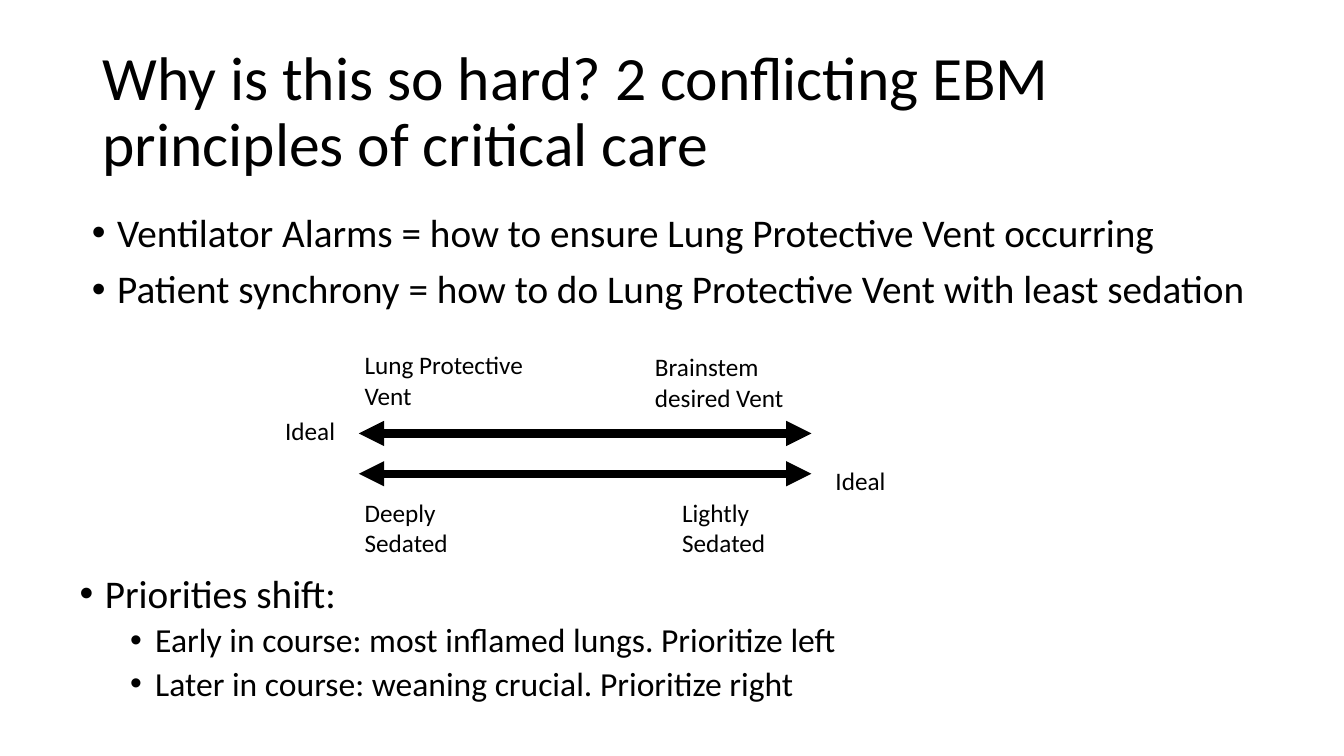
from dataclasses import dataclass
from lxml.etree import SubElement
from pptx import Presentation
from pptx.dml.color import RGBColor
from pptx.enum.shapes import MSO_CONNECTOR
from pptx.enum.text import MSO_ANCHOR, MSO_AUTO_SIZE, PP_ALIGN
from pptx.oxml.ns import qn
from pptx.util import Pt


@dataclass(frozen=True)
class Theme:
    face: str = "Calibri"
    ink: RGBColor = RGBColor(0, 0, 0)
    title: int = 44
    list: tuple = (28, 24)
    label: int = 18
    line: int = 6


class Page:
    def __init__(self, deck, theme):
        self.theme = theme
        self.slide = deck.slides.add_slide(deck.slide_layouts[3])

    def style(self, para, size):
        for run in para.runs:
            run.font.name = self.theme.face
            run.font.size = Pt(size)
            run.font.color.rgb = self.theme.ink

    def holder(self, index, box, anchor):
        shape = self.slide.placeholders[index]
        shape.left, shape.top, shape.width, shape.height = map(Pt, box)
        frame = shape.text_frame
        frame.word_wrap = True
        frame.auto_size = MSO_AUTO_SIZE.NONE
        frame.vertical_anchor = anchor
        return frame

    def title(self, text, box):
        frame = self.holder(0, box, MSO_ANCHOR.MIDDLE)
        frame.text = text
        para = frame.paragraphs[0]
        para.alignment = PP_ALIGN.LEFT
        para.line_spacing = 0.9
        self.style(para, self.theme.title)

    def list(self, index, items, box):
        frame = self.holder(index, box, MSO_ANCHOR.TOP)
        frame.text = "\n".join(text for level, text in items)
        for order, (para, (level, text)) in enumerate(zip(frame.paragraphs, items)):
            para.level = level
            props = para._p.get_or_add_pPr()
            props.set("marL", str(Pt(18 + 36 * level)))
            props.set("indent", str(-Pt(18)))
            SubElement(props, qn("a:buFont"), typeface="Arial")
            SubElement(props, qn("a:buChar"), char="•")
            para.line_spacing = 0.9
            para.space_before = Pt((10, 5)[level] if order else 0)
            self.style(para, self.theme.list[level])

    def label(self, text, left, top, width, height):
        shape = self.slide.shapes.add_textbox(*map(Pt, (left, top, width, height)))
        frame = shape.text_frame
        frame.word_wrap = True
        frame.auto_size = MSO_AUTO_SIZE.SHAPE_TO_FIT_TEXT
        frame.text = text
        self.style(frame.paragraphs[0], self.theme.label)

    def arrow(self, left, right, level):
        ends = map(Pt, (left, level, right, level))
        arrow = self.slide.shapes.add_connector(MSO_CONNECTOR.STRAIGHT, *ends)
        arrow.line.color.rgb = self.theme.ink
        arrow.line.width = Pt(self.theme.line)
        stroke = arrow.line._get_or_add_ln()
        for end in ("a:headEnd", "a:tailEnd"):
            SubElement(stroke, qn(end), type="triangle")
        SubElement(arrow._element.spPr, qn("a:effectLst"))


def main():
    deck = Presentation()
    deck.slide_width, deck.slide_height = Pt(960), Pt(540)
    page = Page(deck, Theme())
    page.title("Why is this so hard? 2 conflicting EBM principles of critical care",
               (66, 28.75, 828, 104.4))
    page.list(1, [
        (0, "Ventilator Alarms = how to ensure Lung Protective Vent occurring"),
        (0, "Patient synchrony = how to do Lung Protective Vent with least sedation"),
    ], (58.5, 149, 843, 104.4))
    page.list(2, [
        (0, "Priorities shift:"),
        (1, "Early in course: most inflamed lungs. Prioritize left"),
        (1, "Later in course: weaning crucial. Prioritize right"),
    ], (49.7, 406.8, 843, 104.4))
    for level in (309.6, 338.4):
        page.arrow(256.3, 579.6, level)
    for text, left, top, width in (
        ("Lung Protective Vent", 253.4, 246.2, 127.4),
        ("Brainstem desired Vent", 460.8, 247.7, 139.7),
        ("Deeply Sedated", 253.4, 351.4, 106.6),
        ("Lightly Sedated", 480.2, 351.4, 120.2),
    ):
        page.label(text, left, top, width, 51)
    for left, top in ((196.6, 293), (589.7, 329)):
        page.label("Ideal", left, top, 60, 29)
    deck.save("out.pptx")


if __name__ == "__main__":
    main()
